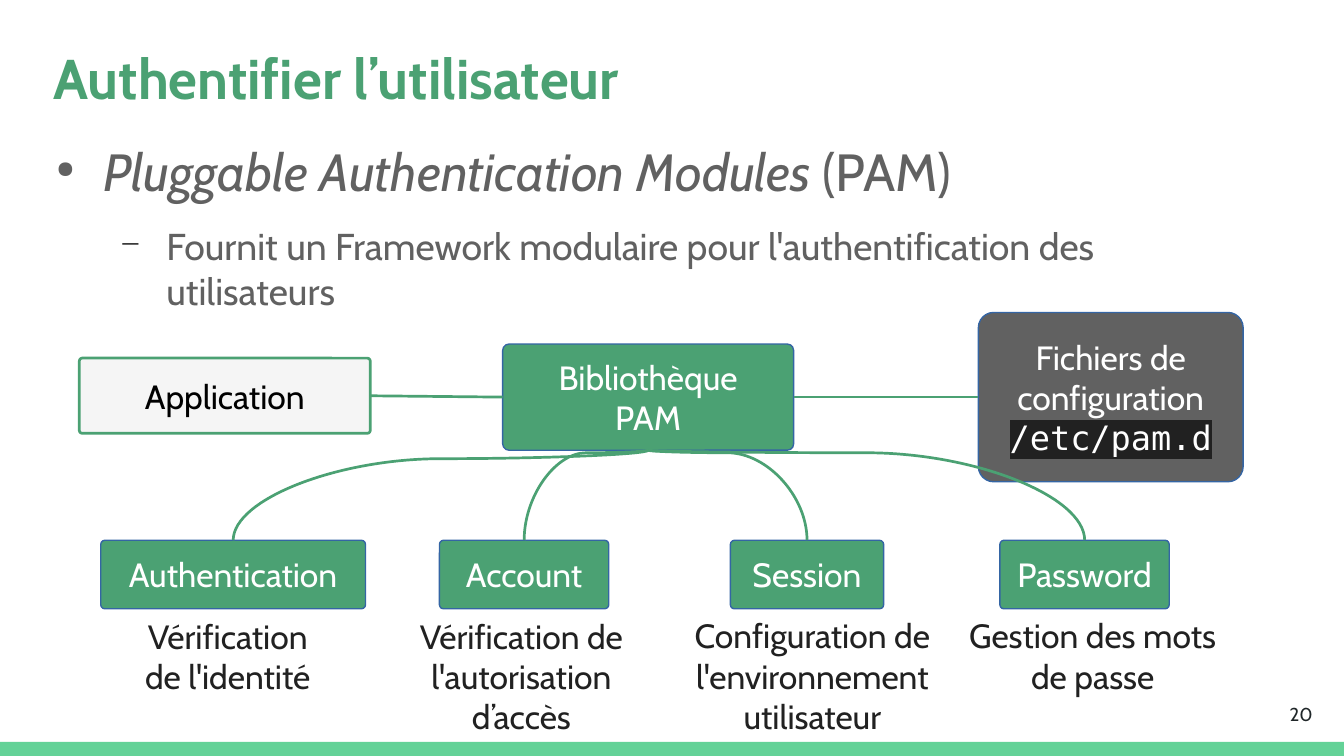
from lxml.etree import SubElement
from pptx import Presentation
from pptx.dml.color import RGBColor
from pptx.enum.shapes import MSO_CONNECTOR as Link, MSO_SHAPE as Shape
from pptx.enum.text import MSO_ANCHOR as Anchor, PP_ALIGN as Align
from pptx.oxml.ns import qn
from pptx.util import Inches, Pt

COLORS = {"green": "4BA173", "bar": "63D297", "gray": "616161", "pale": "F5F5F5",
          "blue": "3465A4", "ink": "212121", "page": "202729",
          "white": "FFFFFF", "black": "000000"}
RGB = {name: RGBColor.from_string(value) for name, value in COLORS.items()}
TOP, LEFT, BOTTOM, RIGHT = range(4)  # connection sites

deck = Presentation()
deck.slide_width = Inches(10)
deck.slide_height = deck.slide_width * 9 // 16
CELL = deck.slide_width / 100  # square grid, 100 columns wide
slide = deck.slides.add_slide(deck.slide_layouts[5])
shapes = slide.shapes


def grid(*cells):
    return [round(cell * CELL) for cell in cells]


def style(paragraph, size, color, align=Align.CENTER):
    paragraph.alignment = align
    font = paragraph.font
    font.name, font.size, font.color.rgb = "Cabin", Pt(size), RGB[color]


# Footer bar and page number
bar = shapes.add_shape(Shape.RECTANGLE, *grid(0, 55.2, 100, 1.05))
bar.shadow.inherit = False
bar.fill.solid()
bar.fill.fore_color.rgb = RGB["bar"]
bar.line.fill.background()

page = shapes.add_textbox(*grid(92.65, 51, 6, 4.3)).text_frame
page.word_wrap, page.vertical_anchor = True, Anchor.MIDDLE
page.text = "20"
style(page.paragraphs[0], 10, "page", Align.RIGHT)

# Title
title = shapes.title
title.left, title.top, title.width, title.height = grid(3, 1.5, 95.4, 6.3)
title.text = "Authentifier l’utilisateur"
heading = title.text_frame
heading.vertical_anchor = Anchor.TOP
heading.margin_top = heading.margin_bottom = Inches(0.1)
heading.paragraphs[0].line_spacing = 1.15
style(heading.paragraphs[0], 30, "green", Align.LEFT)
heading.paragraphs[0].font.bold = True

# Bulleted introduction
intro = shapes.add_textbox(*grid(2, 8.7, 93.3, 15.6)).text_frame
intro.word_wrap = True
intro.margin_top = intro.margin_bottom = Inches(0.1)
topic, detail = intro.paragraphs[0], intro.add_paragraph()
topic.add_run().text = "Pluggable Authentication Modules"
topic.runs[0].font.italic = True
topic.add_run().text = " (PAM)"
detail.add_run().text = "Fournit un Framework modulaire pour l'authentification des utilisateurs"
detail.level = 1
for paragraph, indent, mark, percent, mark_color, size in [
        (topic, 0.47, "●", 45, "gray", 28), (detail, 0.94, "−", 75, "black", 20)]:
    props = paragraph._p.get_or_add_pPr()
    props.set("marL", str(Inches(indent)))
    props.set("indent", str(Inches(-0.35)))
    SubElement(SubElement(props, qn("a:buClr")), qn("a:srgbClr"), val=COLORS[mark_color])
    SubElement(props, qn("a:buSzPct"), val=str(percent * 1000))
    SubElement(props, qn("a:buChar"), char=mark)
    style(paragraph, size, "gray", Align.LEFT)
topic.line_spacing = 1.15
detail.space_before = Pt(11.3)

# Boxes: text, place, corner, fill, line, line width, text colour
modules = [("Authentication", 17.35, 19.7), ("Account", 39, 12.6),
           ("Session", 60.05, 11.4), ("Password", 80.7, 12.6)]
boxes = [
    ("Application", (5.9, 26.65, 21.65, 5.6), 0.04, "pale", "green", 1.45, "black"),
    ("Bibliothèque\nPAM", (37.4, 25.6, 21.65, 7.9), 0.06, "green", "blue", 0, "white"),
    ("Fichiers de\nconfiguration\n", (72.8, 23.25, 19.7, 12.6), 0.09, "gray", "blue", 0, "white"),
] + [(name, (center - width / 2, 40.2, width, 5.1), 0.06, "green", "blue", 0, "white")
     for name, center, width in modules]
drawn = []
for text, place, corner, fill, line, weight, color in boxes:
    box = shapes.add_shape(Shape.ROUNDED_RECTANGLE, *grid(*place))
    box.shadow.inherit = False
    box.adjustments[0] = corner
    box.fill.solid()
    box.fill.fore_color.rgb = RGB[fill]
    box.line.color.rgb, box.line.width = RGB[line], Pt(weight)
    box.text_frame.word_wrap = False
    box.text_frame.vertical_anchor = Anchor.MIDDLE
    box.text_frame.paragraphs[0].text = text
    style(box.text_frame.paragraphs[0], 18, color)
    drawn.append(box)
application, library, config, *module_boxes = drawn

# Highlighted path in the configuration box
folder = config.text_frame.paragraphs[0].add_run()
folder.text = "/etc/pam.d"
highlight = SubElement(folder._r.get_or_add_rPr(), qn("a:highlight"))
SubElement(highlight, qn("a:srgbClr"), val=COLORS["ink"])
folder.font.name = "DejaVu Sans Mono"

# Links: straight along the top row, curved down to the modules
links = [(Link.STRAIGHT, application, RIGHT, library, LEFT, None),
         (Link.STRAIGHT, library, RIGHT, config, LEFT, None)]
links += [(Link.CURVE, library, BOTTOM, module, TOP, bend)
          for module, bend in zip(module_boxes, (9500, 2900, 2900, 2900))]
for kind, source, exit_site, target, entry_site, bend in links:
    link = shapes.add_connector(kind, 0, 0, 0, 0)
    link.begin_connect(source, exit_site)
    link.end_connect(target, entry_site)
    link.line.color.rgb, link.line.width = RGB["green"], Pt(1.45)
    SubElement(link._element.spPr, qn("a:effectLst"))
    if bend is None:
        continue
    # A curve leaving downwards is a sideways one turned by a quarter
    across, down = link.width, link.height
    rightward = link.end_x > link.begin_x
    middle_x, middle_y = link.left + across // 2, link.top + down // 2
    link.left, link.top = middle_x - down // 2, middle_y - across // 2
    link.width, link.height = down, across
    frame = link._element.spPr.find(qn("a:xfrm"))
    frame.set("rot", str((270 if rightward else 90) * 60000))
    frame.set("flipH", "1" if rightward else "0")
    guides = link._element.spPr.find(qn("a:prstGeom")).find(qn("a:avLst"))
    SubElement(guides, qn("a:gd"), name="adj1", fmla=f"val {bend}")

# Captions under the modules
for text, left, width, height in [
        ("Vérification de l'identité", 9.1, 15.7, 11.2),
        ("Vérification de l'autorisation d’accès", 27.95, 21.7, 11.2),
        ("Configuration de l'environnement utilisateur", 49.6, 21.7, 14.6),
        ("Gestion des mots de passe", 70.85, 20.9, 10.7)]:
    caption = shapes.add_textbox(*grid(left, 45.3, width, height)).text_frame
    caption.word_wrap = True
    caption.text = text
    style(caption.paragraphs[0], 18, "ink")

deck.save("out.pptx")
